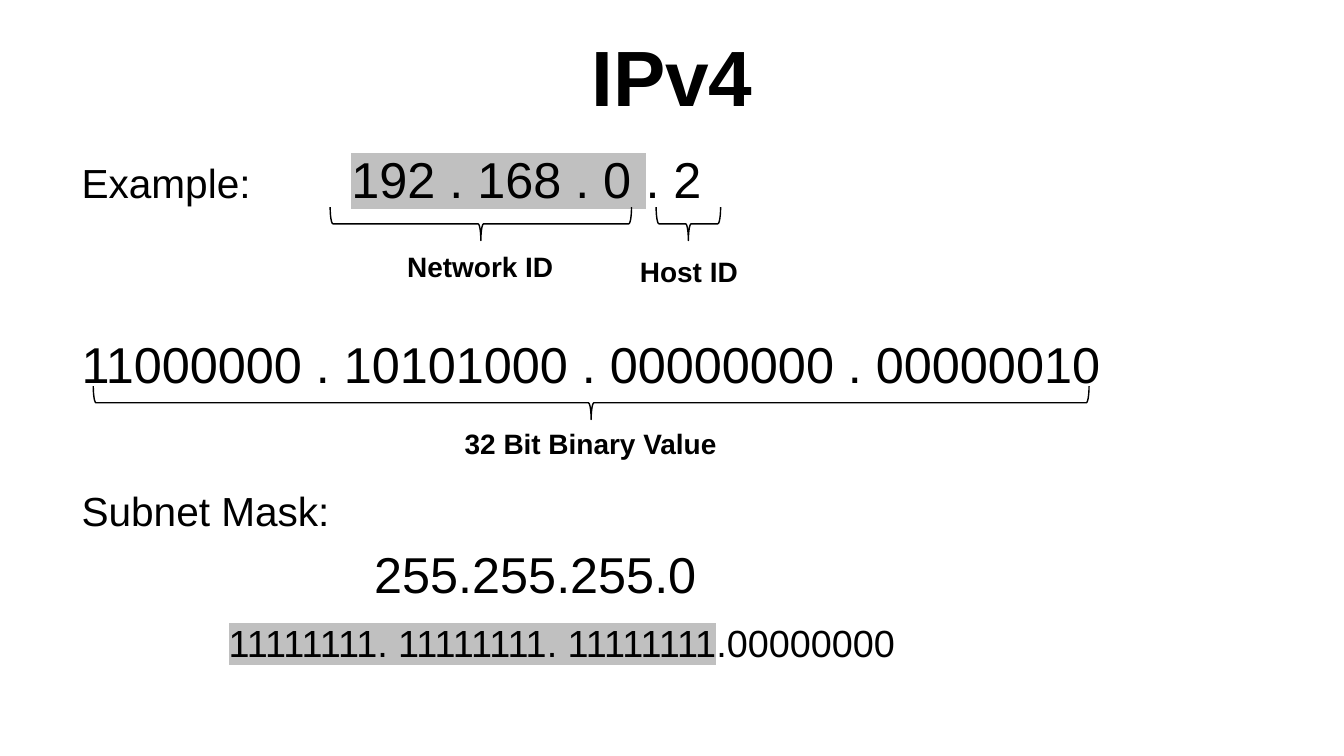
import pptx
import pptx.util
import pptx.dml.color
import pptx.enum.shapes
import pptx.enum.text
import pptx.oxml
import pptx.oxml.ns
from pptx.util import Cm

BLACK = "000000"
GREY = "C0C0C0"
LEFT = pptx.enum.text.PP_ALIGN.LEFT
CENTER = pptx.enum.text.PP_ALIGN.CENTER
TOP = pptx.enum.text.MSO_ANCHOR.TOP
MIDDLE = pptx.enum.text.MSO_ANCHOR.MIDDLE


def rgb(value):
    return pptx.dml.color.RGBColor.from_string(value)


def xml(tag, inner):
    ns = pptx.oxml.ns.nsdecls("a")
    return pptx.oxml.parse_xml(f"<a:{tag} {ns}>{inner}</a:{tag}>")


class Deck:
    font = "Arial"
    inset = Cm(0.15)
    brace_height = 1.68

    def __init__(self, width, height):
        self.prs = pptx.Presentation()
        self.prs.slide_width = Cm(width)
        self.prs.slide_height = Cm(height)
        self.s = self.prs.slides.add_slide(self.prs.slide_layouts[5])

    def frame(self, sp, anchor):
        tf = sp.text_frame
        tf.word_wrap = True
        tf.auto_size = pptx.enum.text.MSO_AUTO_SIZE.NONE
        tf.vertical_anchor = anchor
        tf.margin_left = tf.margin_right = self.inset
        tf.margin_top = tf.margin_bottom = self.inset
        return tf

    def run(self, p, text, size, bold=False, highlight=None):
        r = p.add_run()
        r.text = text
        r.font.size = pptx.util.Pt(size)
        r.font.bold = bold
        r.font.color.rgb = rgb(BLACK)
        r.font.name = self.font
        if highlight:
            fill = r.font._element.find(pptx.oxml.ns.qn("a:solidFill"))
            fill.addnext(xml("highlight", f'<a:srgbClr val="{highlight}"/>'))

    def paragraph(self, p, runs, align=LEFT, before=0, spacing=1.0, indent=0, tab=0):
        p.alignment = align
        p.space_before = pptx.util.Pt(before)
        p.line_spacing = spacing
        pPr = p._p.get_or_add_pPr()
        if indent:
            pPr.set("marL", str(Cm(indent)))
        if tab:
            pPr.append(xml("tabLst", f'<a:tab pos="{Cm(tab)}" algn="l"/>'))
        for text, size, *style in runs:
            self.run(p, text, size, *style)

    def title(self, text, left, top, width, height):
        sp = self.s.shapes.title
        sp.left, sp.top, sp.width, sp.height = Cm(left), Cm(top), Cm(width), Cm(height)
        tf = self.frame(sp, MIDDLE)
        self.paragraph(tf.paragraphs[0], [(text, 112, True)], CENTER)

    def text(self, left, top, width, height, paragraphs, anchor=TOP):
        sp = self.s.shapes.add_textbox(Cm(left), Cm(top), Cm(width), Cm(height))
        tf = self.frame(sp, anchor)
        for i, options in enumerate(paragraphs):
            p = tf.add_paragraph() if i else tf.paragraphs[0]
            self.paragraph(p, **options)

    def label(self, text, left, top, width):
        line = dict(runs=[(text, 40, True)], align=CENTER)
        self.text(left, top, width, 2.01, [line], MIDDLE)

    def brace(self, left, top, width):
        h = self.brace_height
        sp = self.s.shapes.add_shape(
            pptx.enum.shapes.MSO_SHAPE.RIGHT_BRACE,
            Cm(left + (width - h) / 2), Cm(top + (h - width) / 2), Cm(h), Cm(width))
        sp.rotation = 90
        sp.shadow.inherit = False
        sp.fill.background()
        sp.line.color.rgb = rgb(BLACK)
        sp.line.width = pptx.util.Pt(2)


def main():
    deck = Deck(67.74, 38.1)
    deck.title("IPv4", 4.7, 0.99, 58.34, 5.56)
    deck.text(3.96, 7.32, 58.34, 12.88, [
        dict(runs=[("Example:\t", 58), ("192 . 168 . 0 ", 72, False, GREY), (". 2", 72)],
             before=4, tab=13.6),
        dict(runs=[("11000000 . 10101000 . 00000000 . 00000010", 72)], before=178),
    ])
    deck.text(3.96, 24.08, 61.49, 6.35, [
        dict(runs=[("Subnet Mask:", 58)], before=4, spacing=1.1),
        dict(runs=[("255.255.255.0", 72)], before=4, spacing=1.1, indent=14.75),
    ])
    deck.text(11.38, 31.06, 37.9, 2.59, [
        dict(runs=[("11111111. 11111111. 11111111", 54, False, GREY), (".00000000", 54)]),
    ], MIDDLE)

    for left, top, width in [(16.64, 10.44, 15.19), (33.07, 10.44, 3.25), (4.7, 19.46, 50.19)]:
        deck.brace(left, top, width)
    for text, left, top, width in [
        ("Network ID", 19.25, 12.42, 9.91),
        ("Host ID", 31.06, 12.65, 7.32),
        ("32 Bit Binary Value", 21.89, 21.34, 15.75),
    ]:
        deck.label(text, left, top, width)
    deck.prs.save("out.pptx")


if __name__ == "__main__":
    main()
